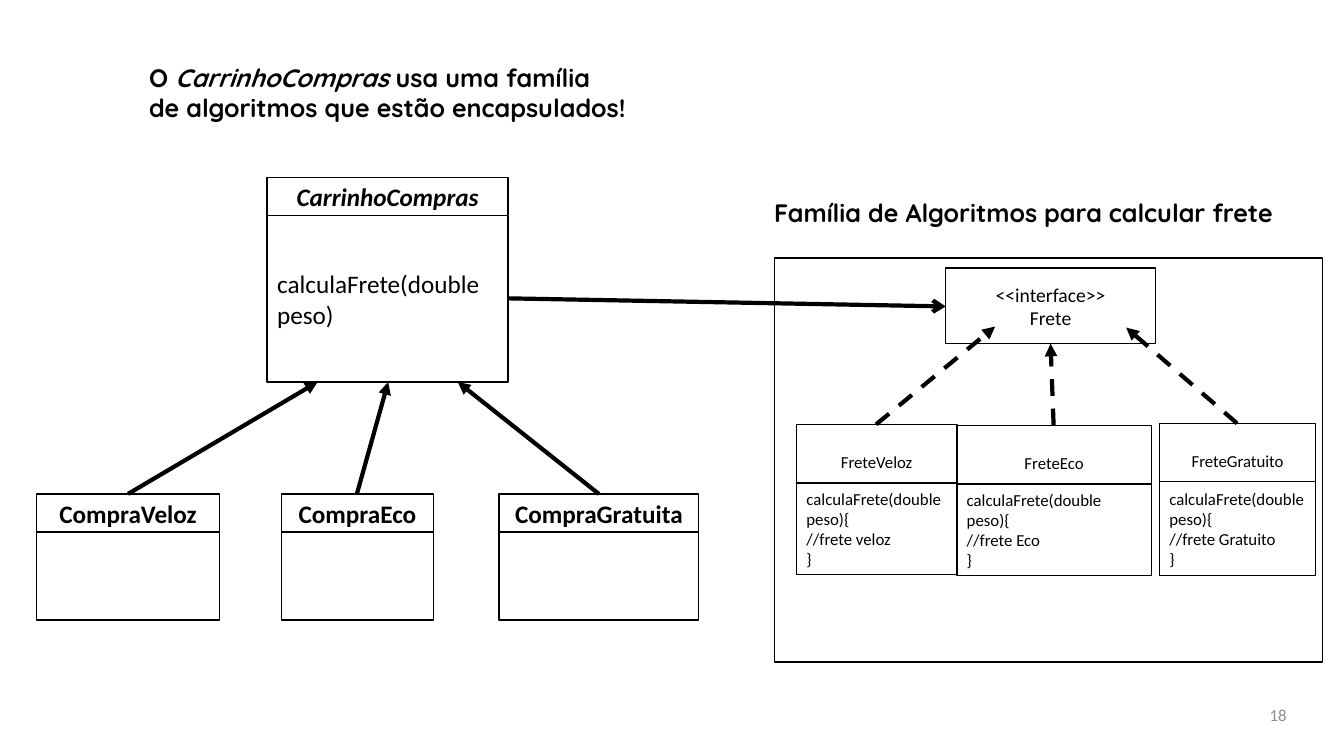
from dataclasses import dataclass
from typing import NamedTuple

from lxml.etree import SubElement
from pptx import Presentation
from pptx.dml.color import RGBColor
from pptx.enum.dml import MSO_LINE
from pptx.enum.shapes import MSO_CONNECTOR, MSO_SHAPE
from pptx.enum.text import MSO_ANCHOR, PP_ALIGN
from pptx.oxml.ns import qn
from pptx.util import Pt

PX = 9144


@dataclass(frozen=True)
class Theme:
    """Colours, fonts and type sizes of the slide."""
    ink: RGBColor = RGBColor(0, 0, 0)
    paper: RGBColor = RGBColor(255, 255, 255)
    muted: RGBColor = RGBColor(140, 140, 140)
    diagram_font: str = "Calibri"
    caption_font: str = "Quicksand"
    large: int = 18
    medium: int = 14
    small: int = 12
    outline: int = 1
    arrow: int = 3


THEME = Theme()


class Box(NamedTuple):
    """A rectangle in px."""
    x: int
    y: int
    w: int
    h: int

    def inside(self, x, y, w, h):
        """Return a box placed relative to this one."""
        return Box(self.x + x, self.y + y, w, h)

    def emu(self):
        """Return the four lengths in EMU."""
        return [length * PX for length in self]

    def top_centre(self):
        """Return the middle of the upper edge."""
        return self.x + self.w // 2, self.y


def style(target, formats):
    """Set each named format value on the target."""
    for name, value in formats.items():
        setattr(target, name, value)


def write(frame, paragraphs, align, anchor, color=THEME.ink, **font):
    """Fill a text frame with paragraphs of (text, italic) runs."""
    style(frame, {"word_wrap": True, "vertical_anchor": anchor})
    for index, runs in enumerate(paragraphs):
        paragraph = frame.paragraphs[0] if index == 0 else frame.add_paragraph()
        paragraph.alignment = align
        for text, italic in runs:
            run = paragraph.add_run()
            run.text = text
            style(run.font, {**font, "italic": italic})
            run.font.color.rgb = color


def panel(slide, box, lines=(), size=THEME.large, align=PP_ALIGN.CENTER, bold=False, italic=False):
    """Draw an outlined rectangle with optional lines of text."""
    rectangle = slide.shapes.add_shape(MSO_SHAPE.RECTANGLE, *box.emu())
    rectangle.shadow.inherit = False
    rectangle.fill.solid()
    rectangle.fill.fore_color.rgb = THEME.paper
    rectangle.line.color.rgb = THEME.ink
    rectangle.line.width = Pt(THEME.outline)
    if lines:
        write(rectangle.text_frame, [[(line, italic)] for line in lines], align,
              MSO_ANCHOR.MIDDLE, name=THEME.diagram_font, size=Pt(size), bold=bold)


def class_box(slide, box, title, members=(), split=38, title_height=38, size=THEME.large, **title_format):
    """Draw a UML class with a title and a member compartment."""
    panel(slide, box.inside(0, 0, box.w, title_height), [title], size, **title_format)
    panel(slide, box.inside(0, split, box.w, box.h - split), members, size, PP_ALIGN.LEFT)


def arrow(slide, start, end, head="triangle", dash=None):
    """Draw an arrow between two points in px."""
    points = [length * PX for length in (*start, *end)]
    connector = slide.shapes.add_connector(MSO_CONNECTOR.STRAIGHT, *points)
    style(connector.line, {"width": Pt(THEME.arrow), "dash_style": dash})
    connector.line.color.rgb = THEME.ink
    SubElement(connector.line._get_or_add_ln(), qn("a:tailEnd"), type=head)
    SubElement(connector._element.spPr, qn("a:effectLst"))


def caption(slide, box, runs, align=PP_ALIGN.LEFT, anchor=MSO_ANCHOR.TOP,
            name=THEME.caption_font, size=THEME.large, bold=True, color=THEME.ink):
    """Place a free-standing paragraph."""
    frame = slide.shapes.add_textbox(*box.emu()).text_frame
    write(frame, [runs], align, anchor, color, name=name, size=Pt(size), bold=bold)


def freight_family(slide, box):
    """Draw the freight interface and its algorithms in a frame."""
    panel(slide, box)
    interface = box.inside(170, 10, 208, 75)
    panel(slide, interface, ["<<interface>>", "Frete"], THEME.medium)
    algorithms = [
        ("FreteVeloz", "veloz", (22, 165, 159, 149), (49, 58)),
        ("FreteEco", "Eco", (181, 166, 193, 149), (104, 75)),
        ("FreteGratuito", "Gratuito", (382, 164, 155, 151), (179, 59)),
    ]
    for title, freight, place, (tip_x, tip_y) in algorithms:
        algorithm = box.inside(*place)
        members = ["calculaFrete(double peso){", f"//frete {freight}", "}"]
        class_box(slide, algorithm, title, members, split=58, title_height=75, size=THEME.small)
        arrow(slide, algorithm.top_centre(), (interface.x + tip_x, interface.y + tip_y),
              dash=MSO_LINE.DASH)
    caption(slide, box.inside(-10, -65, 565, 40),
            [("Família de Algoritmos para calcular frete", False)])
    return interface


def cart_hierarchy(slide, box):
    """Draw the cart class with its purchase subclasses below."""
    cart = box.inside(229, 0, 239, 203)
    class_box(slide, cart, "CarrinhoCompras", ["calculaFrete(double peso)"], bold=True, italic=True)
    purchases = [("CompraVeloz", 0, 182, 50), ("CompraEco", 243, 151, 120),
                 ("CompraGratuita", 459, 198, 189)]
    for title, left, width, tip in purchases:
        purchase = box.inside(left, 314, width, 125)
        class_box(slide, purchase, title, bold=True)
        arrow(slide, purchase.top_centre(), (cart.x + tip, cart.y + cart.h))
    return cart


def strategy_slide(slide):
    """Place both regions, the link between them and the captions."""
    interface = freight_family(slide, Box(768, 256, 544, 401))
    cart = cart_hierarchy(slide, Box(36, 176, 657, 439))
    arrow(slide, (cart.x + cart.w, cart.y + 120), (interface.x, interface.y + 38), head="arrow")
    caption(slide, Box(138, 57, 493, 101), [
        ("O ", False), ("CarrinhoCompras", True),
        (" usa uma família de algoritmos que estão encapsulados!", False)])
    caption(slide, Box(974, 683, 312, 52), [("18", False)], PP_ALIGN.RIGHT, MSO_ANCHOR.MIDDLE,
            THEME.diagram_font, THEME.small, False, THEME.muted)


def main():
    """Build and save the presentation."""
    deck = Presentation()
    style(deck, {"slide_width": 1333 * PX, "slide_height": 750 * PX})
    strategy_slide(deck.slides.add_slide(deck.slide_layouts[6]))
    deck.save("out.pptx")


if __name__ == "__main__":
    main()
